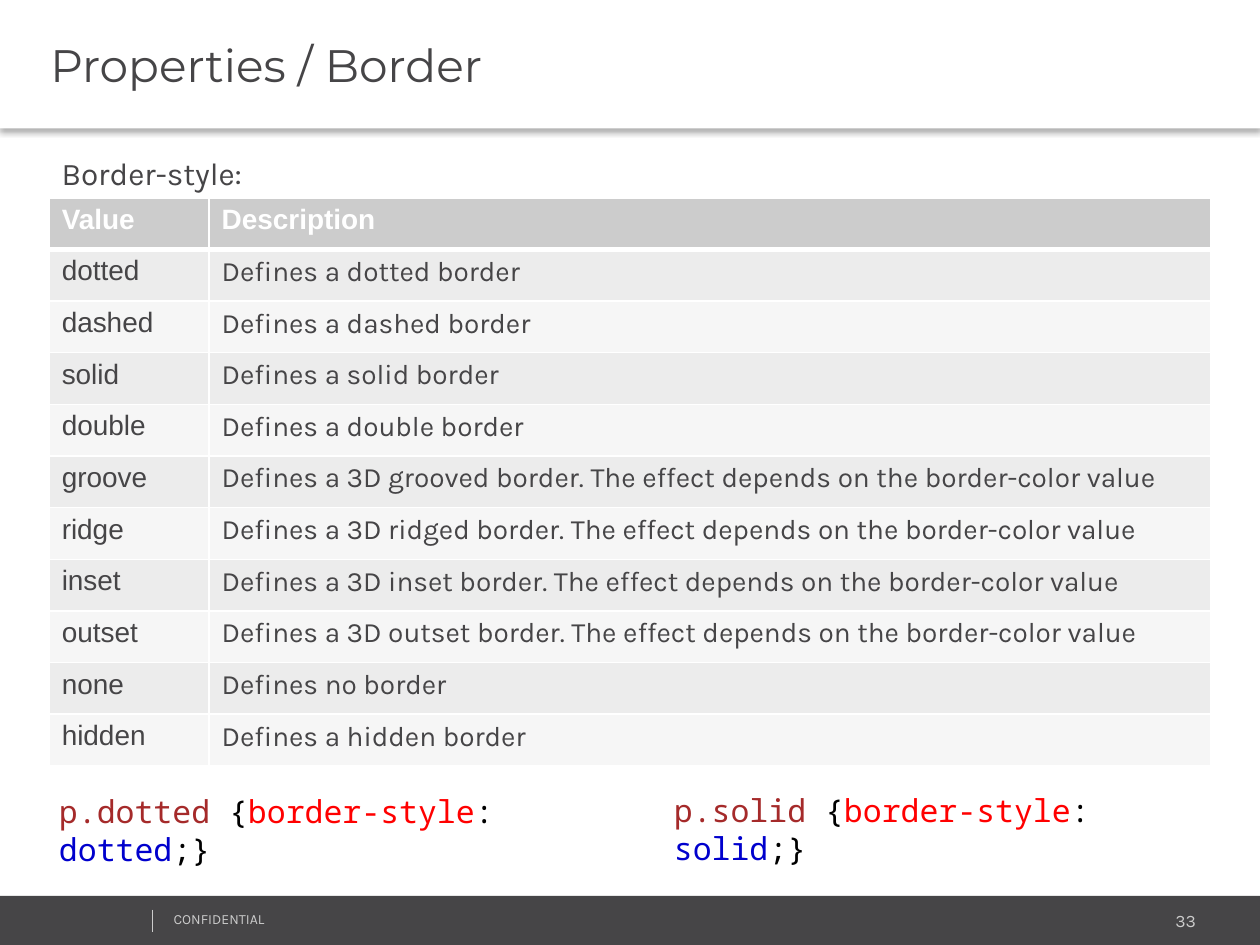
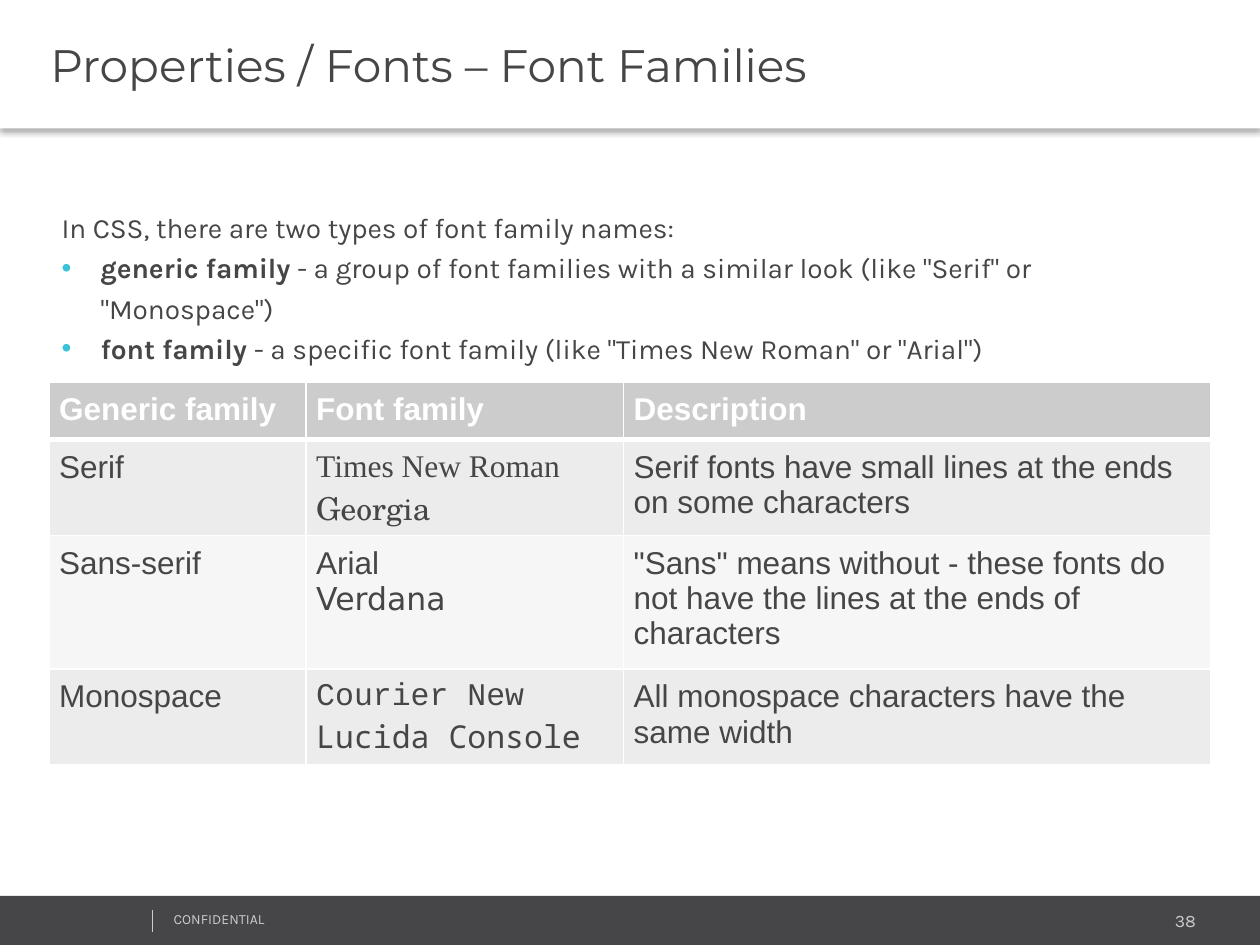
"""Build two CSS lesson slides: border styles and font families."""
import lxml.etree
import pptx
import pptx.dml.color
import pptx.enum.shapes
import pptx.enum.text
import pptx.oxml.ns
import pptx.util

Inches = pptx.util.Inches
Pt = pptx.util.Pt
RGBColor = pptx.dml.color.RGBColor
SubElement = lxml.etree.SubElement
qn = pptx.oxml.ns.qn

WHITE = RGBColor(0xFF, 0xFF, 0xFF)
BLACK = RGBColor(0x00, 0x00, 0x00)
DARK = RGBColor(0x46, 0x45, 0x47)
SILVER = RGBColor(0xCC, 0xCC, 0xCC)
ODD_ROW = RGBColor(0xEC, 0xEC, 0xEC)
EVEN_ROW = RGBColor(0xF6, 0xF6, 0xF6)
BULLET = RGBColor(0x39, 0xC2, 0xD7)
SELECTOR = RGBColor(0xA5, 0x2A, 0x2A)
PROPERTY = RGBColor(0xFF, 0x00, 0x00)
VALUE = RGBColor(0x00, 0x00, 0xCD)
HEADING, BODY, PLAIN, CODE = "Montserrat", "Karla", "Arial", "Noto Sans Mono"
LEFT, CONTENT_WIDTH, ROW_HEIGHT = 0.39, 9.22, 0.41


def add_span(para, text, size, font=BODY, color=DARK, bold=False):
    span = para.add_run()
    span.text = text
    span.font.size = Pt(size)
    span.font.name = font
    span.font.color.rgb = color
    span.font.bold = bold


def add_box(page, left, top, width, height):
    box = page.shapes.add_textbox(Inches(left), Inches(top), Inches(width), Inches(height))
    box.text_frame.word_wrap = True
    return box.text_frame


deck = pptx.Presentation()
deck.slide_width = Inches(10)
deck.slide_height = Inches(7.5)
pages = []

for title, number in [("Properties / Border", "33"), ("Properties / Fonts – Font Families", "38")]:
    page = deck.slides.add_slide(deck.slide_layouts[6])
    pages.append(page)
    bands = []
    for top, height, color in [(7.11, 0.4, DARK), (0, 1.02, WHITE)]:
        band = page.shapes.add_shape(pptx.enum.shapes.MSO_SHAPE.RECTANGLE,
                                     0, Inches(top), Inches(10), Inches(height))
        band.shadow.inherit = False
        band.fill.solid()
        band.fill.fore_color.rgb = color
        band.line.fill.background()
        bands.append(band)

    title_band = bands[1]
    effects = title_band.element.spPr.find(qn("a:effectLst"))
    shadow = SubElement(effects, qn("a:outerShdw"), blurRad=str(Pt(3.1)), dist=str(Pt(2)),
                        dir="5400000", algn="t", rotWithShape="0")
    shade = SubElement(shadow, qn("a:srgbClr"), val=str(BLACK))
    SubElement(shade, qn("a:alpha"), val="30000")
    title_band.text_frame.margin_left = Inches(0.4)
    title_band.text_frame.vertical_anchor = pptx.enum.text.MSO_ANCHOR.MIDDLE
    para = title_band.text_frame.paragraphs[0]
    para.alignment = pptx.enum.text.PP_ALIGN.LEFT
    add_span(para, title, 26, HEADING)

    para = add_box(page, 7.96, 7.17, 1.63, 0.27).paragraphs[0]
    para.alignment = pptx.enum.text.PP_ALIGN.RIGHT
    add_span(para, number, 10, color=SILVER)
    add_span(add_box(page, 1.28, 7.18, 2.53, 0.24).paragraphs[0], "CONFIDENTIAL", 8, color=SILVER)
    divider = page.shapes.add_connector(pptx.enum.shapes.MSO_CONNECTOR.STRAIGHT,
                                        Inches(1.21), Inches(7.22), Inches(1.21), Inches(7.4))
    divider.line.color.rgb = SILVER
    divider.line.width = Pt(0.75)
    SubElement(divider.element.spPr, qn("a:effectLst"))

border_page, fonts_page = pages

add_span(add_box(border_page, LEFT, 1.17, 5, 0.4).paragraphs[0], "Border-style:", 18)
for value, left, top, width in [("dotted", 0.37, 6.24, 4.63), ("solid", 5.25, 6.23, 4.36)]:
    para = add_box(border_page, left, top, width, 0.4).paragraphs[0]
    for text, color in [(f"p.{value} ", SELECTOR), ("{", BLACK), ("border-style", PROPERTY),
                        (":", BLACK), (f" {value}", VALUE), (";}", BLACK)]:
        add_span(para, text, 18, CODE, color)

frame = add_box(fonts_page, LEFT, 1.57, CONTENT_WIDTH, 5)
para = frame.paragraphs[0]
para.line_spacing = 1.2
add_span(para, "In CSS, there are two types of font family names:", 16)
for term, meaning in [
    ("generic family", ' - a group of font families with a similar look (like "Serif" or "Monospace")'),
    ("font family ", '- a specific font family (like "Times New Roman" or "Arial")'),
]:
    para = frame.add_paragraph()
    para.line_spacing = 1.2
    settings = para._p.get_or_add_pPr()
    settings.set("marL", str(Inches(0.31)))
    settings.set("indent", str(-Inches(0.31)))
    SubElement(SubElement(settings, qn("a:buClr")), qn("a:srgbClr"), val=str(BULLET))
    SubElement(settings, qn("a:buFont"), typeface=PLAIN)
    SubElement(settings, qn("a:buChar"), char="•")
    add_span(para, term, 16, bold=True)
    add_span(para, meaning, 16)

border_rows = [("Value", "Description")]
for value, meaning in [("dotted", "a dotted"), ("dashed", "a dashed"), ("solid", "a solid"),
                       ("double", "a double"), ("groove", "a 3D grooved"), ("ridge", "a 3D ridged"),
                       ("inset", "a 3D inset"), ("outset", "a 3D outset"), ("none", "no"),
                       ("hidden", "a hidden")]:
    effect = ". The effect depends on the border-color value" if "3D" in meaning else ""
    border_rows.append((value, [(f"Defines {meaning} border{effect}", BODY)]))

font_rows = [
    ("Generic family", "Font family", "Description"),
    ("Serif", [("Times New Roman", "Times New Roman"), ("Georgia", "TeX Gyre Schola")],
     "Serif fonts have small lines at the ends on some characters"),
    ("Sans-serif", [("Arial", PLAIN), ("Verdana", "DejaVu Sans")],
     '"Sans" means without - these fonts do not have the lines at the ends of characters'),
    ("Monospace", [("Courier New", "Courier New"), ("Lucida Console", CODE)],
     "All monospace characters have the same width"),
]

for page, top, widths, rows, size, margins in [
    (border_page, 1.57, [1.27, 7.95], border_rows, 16, (0.1, 0.05)),
    (fonts_page, 3.03, [2.04, 2.52, 4.66], font_rows, 18, (0.08, 0.08)),
]:
    table = page.shapes.add_table(len(rows), len(widths), Inches(LEFT), Inches(top),
                                  Inches(CONTENT_WIDTH), Inches(ROW_HEIGHT * len(rows))).table
    for column, width in zip(table.columns, widths):
        column.width = Inches(width)
    for row_index, row in enumerate(rows):
        table.rows[row_index].height = Inches(ROW_HEIGHT)
        header = row_index == 0
        fill = SILVER if header else ODD_ROW if row_index % 2 else EVEN_ROW
        for column_index, content in enumerate(row):
            cell = table.cell(row_index, column_index)
            cell.margin_left = cell.margin_right = Inches(margins[0])
            cell.margin_top = cell.margin_bottom = Inches(margins[1])
            borders = {"lnL": 1, "lnR": 1, "lnT": 3 if row_index == 1 else 1, "lnB": 3 if header else 1}
            for side, weight in borders.items():
                edge = SubElement(cell._tc.get_or_add_tcPr(), qn(f"a:{side}"), w=str(Pt(weight)))
                SubElement(SubElement(edge, qn("a:solidFill")), qn("a:srgbClr"), val=str(WHITE))
            cell.fill.solid()
            cell.fill.fore_color.rgb = fill
            para = cell.text_frame.paragraphs[0]
            lines = [(content, PLAIN)] if isinstance(content, str) else content
            for line_index, (text, font) in enumerate(lines):
                if line_index:
                    para.add_line_break()
                add_span(para, text, size, font, WHITE if header else DARK, header)

deck.save("out.pptx")
